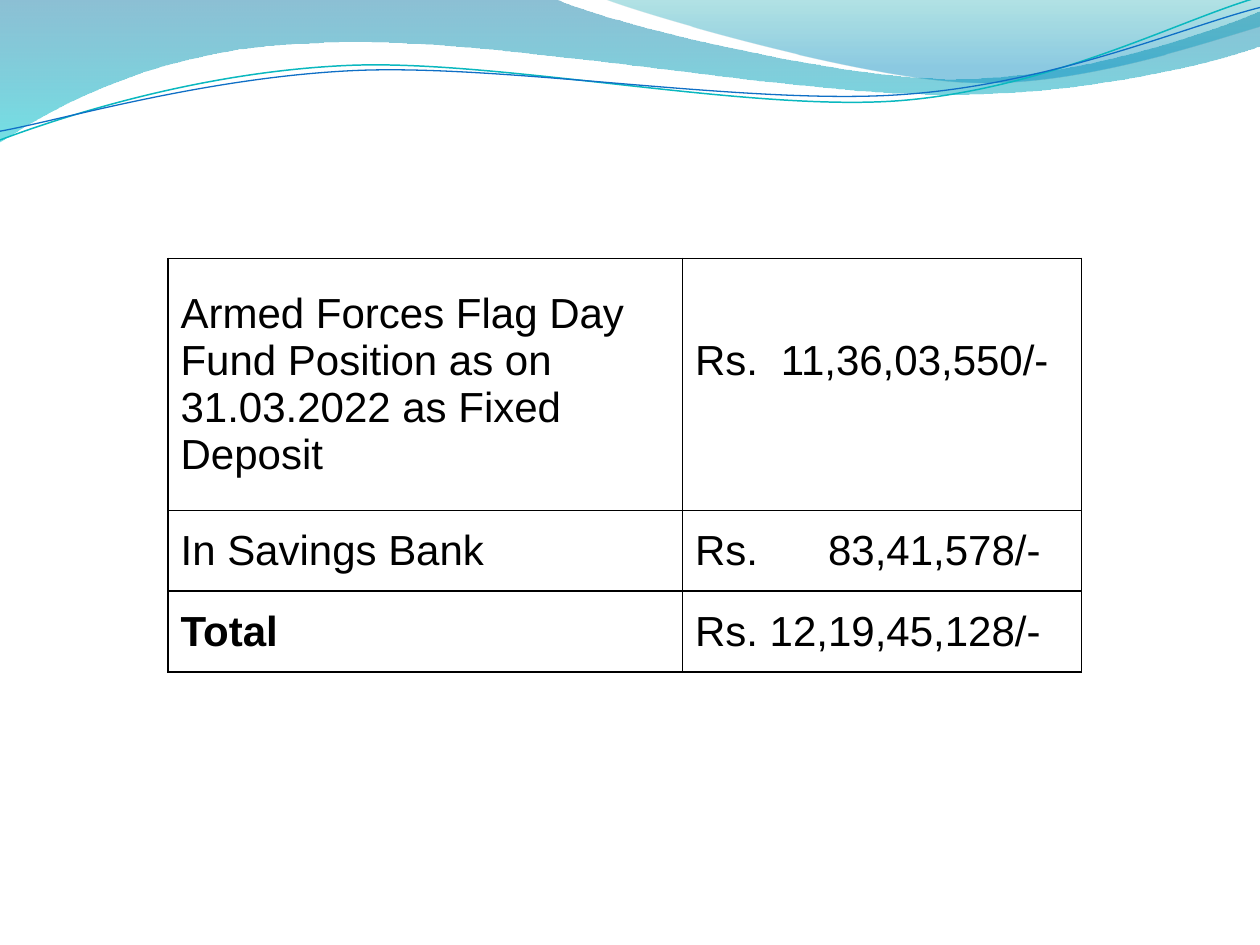
from lxml import etree
from pptx import Presentation
from pptx.dml.color import RGBColor
from pptx.enum.text import MSO_ANCHOR
from pptx.oxml.ns import qn
from pptx.util import Pt

COLORS = {
    "deep_blue": "0074A1", "aqua": "00C6CF", "teal": "00A1A9", "sky": "008BBF",
    "teal_line": "0AB8BF", "blue_line": "0F6FC6", "black": "000000",
}
FONT = "Arial"

# An outline is a start point, then parts: one point is a line, three are a Bézier curve.
WIDE_WAVE = [
    (0, 0), [(317, -0.7)],
    [(343, 12), (478, 45), (546, 45)], [(614, 45), (690, 19), (720, 6.5)],
    [(720.7, 26)],
    [(708, 32), (626, 55), (537, 54)], [(447, 54), (275, 20), (185, 24.5)],
    [(93, 26), (33, 60), (-0.7, 81.5)],
]
RIGHT_WAVE = [
    (345, -0.7),
    [(366.5, 8), (491, 44.6), (553.7, 46.8)], [(616.3, 49.7), (692, 23), (720, 15)],
    [(720, 0)],
]
TEAL_CURVE = [
    (0, 80), [(34.6, 67), (113.8, 41), (199.4, 37.4)],
    [(284.4, 33.8), (427, 64), (513.4, 57.6)], [(599.8, 51), (675.4, 10.8), (718.6, -1.4)],
]
BLUE_CURVE = [
    (0, 75), [(33.8, 69), (118, 44), (203.8, 40.3)],
    [(290, 36.7), (429.8, 60.5), (516.2, 54)], [(602, 48), (677.5, 15), (720, 4.3)],
]
# Label, amount, and the right tab that the amount ends at
FUND_ROWS = [
    ("Armed Forces Flag Day Fund Position as on 31.03.2022 as Fixed Deposit",
     "Rs.\t11,36,03,550/-", 202),
    ("In Savings Bank", "Rs.\t83,41,578/-", 197.5),
    ("Total", "Rs. 12,19,45,128/-", None),
]


def rgb(name):
    return RGBColor.from_string(COLORS[name])


def add_outline(slide, left, top, outline, close):
    """Joins the end points with lines, then bends the parts that have control points."""
    def place(point):
        return Pt(left + point[0]), Pt(top + point[1])

    start, *parts = outline
    builder = slide.shapes.build_freeform(*place(start), scale=1.0)
    builder.add_line_segments([place(part[-1]) for part in parts], close=close)
    sp = builder.convert_to_shape()
    sp.shadow.inherit = False
    segments = list(sp.element.spPr.iter(qn("a:lnTo")))
    for segment, (*controls, _) in zip(segments, parts):
        if not controls:
            continue
        curve = etree.Element(qn("a:cubicBezTo"))
        for x, y in map(place, controls):
            etree.SubElement(curve, qn("a:pt"), x=str(x - sp.left), y=str(y - sp.top))
        curve.append(segment[0])
        segment.getparent().replace(segment, curve)
    return sp


def add_wave(slide, left, top, outline, stops):
    """Each stop is (position, colour, opacity in percent), from top to bottom."""
    sp = add_outline(slide, left, top, outline, close=True)
    sp.line.fill.background()
    sp.fill.gradient()
    sp.fill.gradient_angle = 270
    for stop, (position, color, _) in zip(sp.fill.gradient_stops, stops):
        stop.position = position
        stop.color.rgb = rgb(color)
    for clr, (_, _, opacity) in zip(sp.element.spPr.iter(qn("a:srgbClr")), stops):
        etree.SubElement(clr, qn("a:alpha"), val=str(opacity * 1000))


def add_curve(slide, left, top, outline, color, width):
    sp = add_outline(slide, left, top, outline, close=False)
    sp.fill.background()
    sp.line.color.rgb = rgb(color)
    sp.line.width = Pt(width)


def add_header(slide, left, top):
    add_wave(slide, left, top, WIDE_WAVE, [(0, "deep_blue", 45), (1, "aqua", 55)])
    add_wave(slide, left, top, RIGHT_WAVE, [(0, "teal", 30), (0.8, "sky", 45)])
    add_curve(slide, left, top, TEAL_CURVE, "teal_line", 0.85)
    add_curve(slide, left, top, BLUE_CURVE, "blue_line", 0.75)


def set_borders(cell, color, width):
    tcPr = cell._tc.get_or_add_tcPr()
    for i, side in enumerate(("lnL", "lnR", "lnT", "lnB")):
        ln = etree.Element(qn(f"a:{side}"), w=str(Pt(width)))
        fill = etree.SubElement(ln, qn("a:solidFill"))
        etree.SubElement(fill, qn("a:srgbClr"), val=COLORS[color])
        tcPr.insert(i, ln)


def add_right_tab(p, position):
    tabs = etree.SubElement(p._p.get_or_add_pPr(), qn("a:tabLst"))
    etree.SubElement(tabs, qn("a:tab"), pos=str(Pt(position)), algn="r")


def fill_cell(cell, text, bold=False, tab=None):
    cell.fill.background()
    set_borders(cell, "black", 1)
    cell.vertical_anchor = MSO_ANCHOR.MIDDLE
    p = cell.text_frame.paragraphs[0]
    if tab:
        add_right_tab(p, tab)
    r = p.add_run()
    r.text = text
    r.font.name = FONT
    r.font.size = Pt(24)
    r.font.bold = bold
    r.font.color.rgb = rgb("black")


def add_fund_table(slide, left, top, width, height):
    table = slide.shapes.add_table(
        len(FUND_ROWS), 2, Pt(left), Pt(top), Pt(width), Pt(height)).table
    table.first_row = table.horz_banding = False
    label_width, small_row = 294, 46.2
    table.columns[0].width = Pt(label_width)
    table.columns[1].width = Pt(width - label_width)
    for i, (label, amount, tab) in enumerate(FUND_ROWS):
        table.rows[i].height = Pt(small_row if i else height - 2 * small_row)
        fill_cell(table.cell(i, 0), label, bold=label == "Total")
        fill_cell(table.cell(i, 1), amount, tab=tab)
    table.cell(0, 1).margin_bottom = Pt(30)


def main():
    prs = Presentation()
    prs.slide_width, prs.slide_height = Pt(720), Pt(540)
    slide = prs.slides.add_slide(prs.slide_layouts[6])
    add_header(slide, 0, 0)
    add_fund_table(slide, 96, 147.6, 522, 236.4)
    prs.save("out.pptx")


if __name__ == "__main__":
    main()
